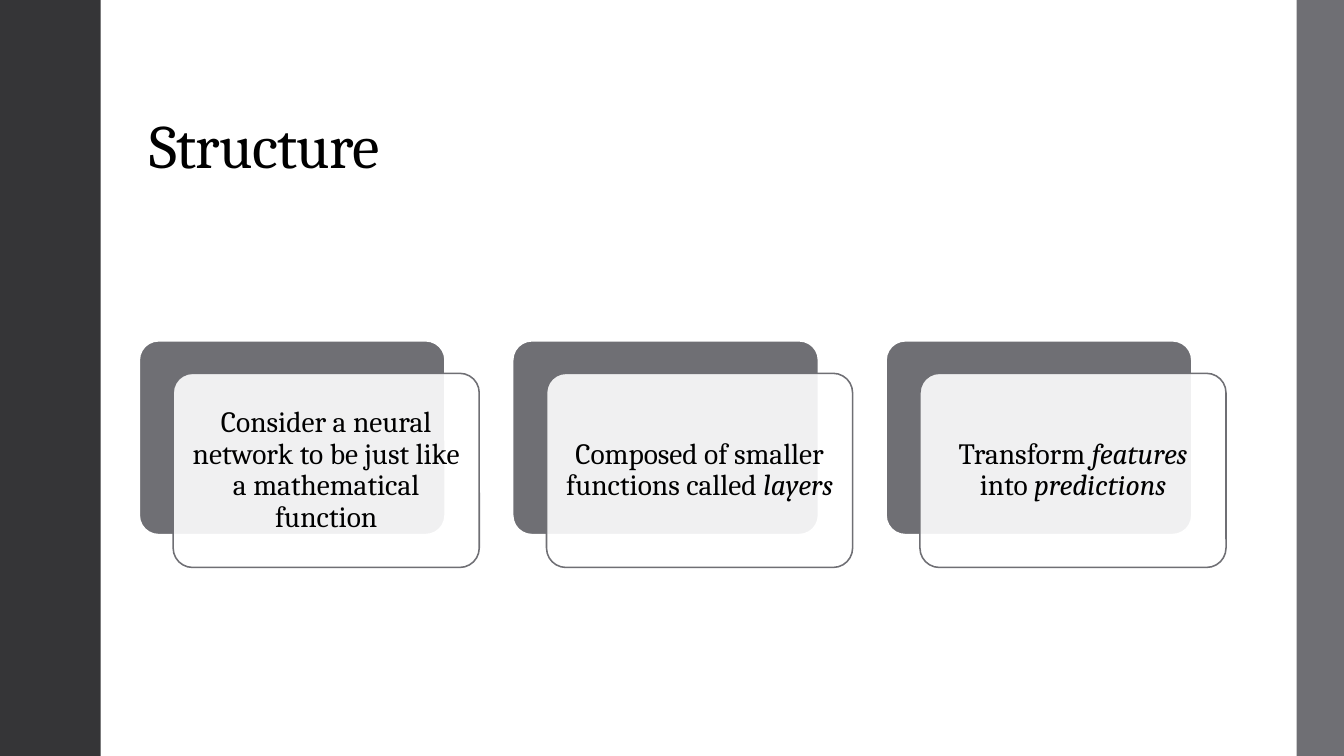
import pptx
import pptx.util
import pptx.dml.color
import pptx.enum.shapes
import pptx.enum.text
import pptx.oxml
import pptx.oxml.ns
from pptx.util import Inches, Pt

FONT = "Cambria"
BLACK, WHITE, DARK, GREY = "000000", "FFFFFF", "353537", "6F6F74"
WIDTH, HEIGHT = 13.33, 7.5
LEFT, RIGHT = 1.38, 12.16
CARD_TOP, CARD_HEIGHT = 3.38, 2.25
COLUMN_GAP = 0.33

# Each card is a list of (text, italic) runs.
CARDS = [
    [("Consider a neural network to be just like a mathematical function", False)],
    [("Composed of smaller functions called ", False), ("layers", True)],
    [("Transform ", False), ("features", True), (" into ", False), ("predictions", True)],
]


def color(value):
    return pptx.dml.color.RGBColor.from_string(value)


def add_block(s, kind, box, fill, line=None, line_width=0, opacity=100):
    sp = s.shapes.add_shape(kind, *map(Inches, box))
    sp.shadow.inherit = False
    sp.fill.solid()
    sp.fill.fore_color.rgb = color(fill)
    if opacity < 100:
        srgb = sp.fill._xPr.find(".//" + pptx.oxml.ns.qn("a:srgbClr"))
        alpha = pptx.oxml.parse_xml(
            f'<a:alpha {pptx.oxml.ns.nsdecls("a")} val="{opacity * 1000}"/>')
        srgb.append(alpha)
    if line:
        sp.line.color.rgb = color(line)
        sp.line.width = Pt(line_width)
    else:
        sp.line.fill.background()
    return sp


def add_text(s, box, runs, size, anchor, align, margin=None):
    """Place one paragraph of (text, italic) runs and return it."""
    tf = s.shapes.add_textbox(*map(Inches, box)).text_frame
    tf.word_wrap = True
    tf.vertical_anchor = anchor
    if margin is not None:
        tf.margin_left = tf.margin_right = Inches(margin)
        tf.margin_top = tf.margin_bottom = Inches(margin)
    p = tf.paragraphs[0]
    p.alignment = align
    p.line_spacing = 0.9
    for text, italic in runs:
        r = p.add_run()
        r.text = text
        r.font.name = FONT
        r.font.size = Pt(size)
        r.font.italic = italic
        r.font.color.rgb = color(BLACK)
    return p


def add_side_bars(s):
    rect = pptx.enum.shapes.MSO_SHAPE.RECTANGLE
    add_block(s, rect, (0, 0, 1, HEIGHT), DARK)
    add_block(s, rect, (12.86, 0, WIDTH - 12.86, HEIGHT), GREY)


def add_title(s, box, text):
    p = add_text(s, box, [(text, False)], 44, pptx.enum.text.MSO_ANCHOR.BOTTOM,
                 pptx.enum.text.PP_ALIGN.LEFT)
    p.runs[0].font._element.set("spc", "-50")


def add_card(s, box, runs):
    """Fill the box with a grey panel and a translucent one offset down and right."""
    x, y, w, h = box
    shift_x, shift_y, inset = w * 0.1, h * 0.144, 0.055
    panel_w, panel_h = w - shift_x, h - shift_y
    front_x, front_y = x + shift_x, y + shift_y
    rounded = pptx.enum.shapes.MSO_SHAPE.ROUNDED_RECTANGLE
    back = add_block(s, rounded, (x, y, panel_w, panel_h), GREY, WHITE, 1.35)
    front = add_block(s, rounded, (front_x, front_y, panel_w, panel_h),
                      WHITE, GREY, 1.1, opacity=90)
    for sp in (back, front):
        sp.adjustments[0] = 0.1
    text_box = (front_x + inset, front_y + inset, panel_w - 2 * inset, panel_h - 2 * inset)
    add_text(s, text_box, runs, 21, pptx.enum.text.MSO_ANCHOR.MIDDLE,
             pptx.enum.text.PP_ALIGN.CENTER, margin=0.09)


def add_cards(s, box, cards):
    x, y, w, h = box
    card_w = (w - COLUMN_GAP * (len(cards) - 1)) / len(cards)
    for i, runs in enumerate(cards):
        add_card(s, (x + i * (card_w + COLUMN_GAP), y, card_w, h), runs)


def main():
    prs = pptx.Presentation()
    prs.slide_width, prs.slide_height = Inches(WIDTH), Inches(HEIGHT)
    s = prs.slides.add_slide(prs.slide_layouts[6])
    add_title(s, (LEFT, 0.4, RIGHT - LEFT, 1.45), "Structure")
    add_side_bars(s)
    add_cards(s, (LEFT, CARD_TOP, RIGHT - LEFT, CARD_HEIGHT), CARDS)
    prs.save("out.pptx")


if __name__ == "__main__":
    main()
